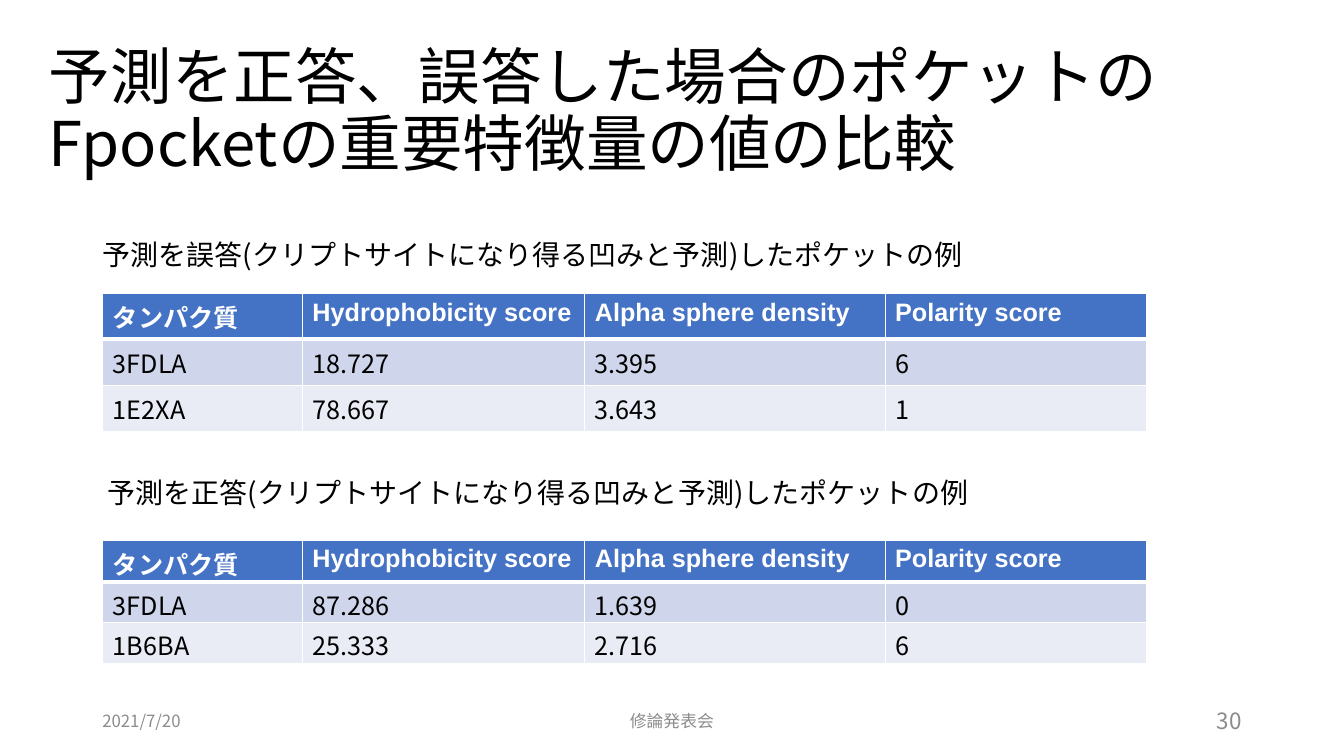
from lxml.etree import SubElement as Sub
from pptx import Presentation
from pptx.dml.color import RGBColor as Rgb
from pptx.enum.text import MSO_ANCHOR as Anchor, MSO_AUTO_SIZE as Auto, PP_ALIGN as Align
from pptx.oxml import parse_xml
from pptx.oxml.ns import nsdecls, qn
from pptx.util import Pt

PX = 9525  # EMU per px, 96 px to the inch
THEME = {
    "font": "Noto Sans CJK JP", "latin": "Arial",
    "ink": "000000", "gray": "8C8C8C", "white": "FFFFFF",
    "fills": ["4472C4", "CFD5EA", "E9EBF5"],
    "title": 44, "label": 20, "cell": 18, "page": 16, "foot": 12,
}


def write(frame, text, size, color, face="font", bold=False, align=Align.LEFT):
    """Fill a text frame with one formatted paragraph."""
    para = frame.paragraphs[0]
    para.alignment = align
    run = para.add_run()
    run.text = text
    look = {"name": THEME[face], "size": Pt(THEME[size]), "bold": bold}
    for key, value in look.items():
        setattr(run.font, key, value)
    run.font.color.rgb = Rgb.from_string(THEME[color])
    Sub(run.font._element, qn("a:ea"), typeface=THEME[face])


def edge(cell, sides):
    """Draw white cell borders, given as {side: width in points}."""
    props = cell._tc.get_or_add_tcPr()
    for spot, (side, width) in enumerate(sides.items()):
        props.insert(spot, parse_xml(
            f'<a:ln{side} {nsdecls("a")} w="{Pt(width)}"><a:solidFill>'
            f'<a:srgbClr val="{THEME["white"]}"/></a:solidFill></a:ln{side}>'))


deck = Presentation()
deck.slide_width, deck.slide_height = 1280 * PX, 720 * PX
slide = deck.slides.add_slide(deck.slide_layouts[5])

# Title
title = slide.shapes.title
place = {"left": 37, "top": 38, "width": 1170, "height": 139}
for key, value in place.items():
    setattr(title, key, value * PX)
frame = title.text_frame
form = {"word_wrap": True, "auto_size": Auto.NONE, "vertical_anchor": Anchor.MIDDLE}
for key, value in form.items():
    setattr(frame, key, value)
write(frame, "予測を正答、誤答した場合のポケットのFpocketの重要特徴量の値の比較", "title", "ink")
frame.paragraphs[0].line_spacing = 0.9

# Captions and footer
notes = [
    ((88, 221, 893, 42), "予測を誤答(クリプトサイトになり得る凹みと予測)したポケットの例",
     "label", "ink", Align.LEFT, Anchor.TOP),
    ((93, 448, 893, 42), "予測を正答(クリプトサイトになり得る凹みと予測)したポケットの例",
     "label", "ink", Align.LEFT, Anchor.TOP),
    ((88, 667, 288, 38), "2021/7/20", "foot", "gray", Align.LEFT, Anchor.MIDDLE),
    ((424, 667, 432, 38), "修論発表会", "foot", "gray", Align.CENTER, Anchor.MIDDLE),
    ((904, 667, 288, 38), "30", "page", "gray", Align.RIGHT, Anchor.MIDDLE),
]
for box, text, size, color, align, anchor in notes:
    frame = slide.shapes.add_textbox(*(n * PX for n in box)).text_frame
    frame.word_wrap = True
    frame.vertical_anchor = anchor
    write(frame, text, size, color, align=align)

# Tables: top, row height, top and bottom cell margins, body rows
HEAD = ["タンパク質", "Hydrophobicity score", "Alpha sphere density", "Polarity score"]
WIDTHS = [190, 269, 286, 249]
tables = [
    (279, 44, 5, 5, [["3FDLA", "18.727", "3.395", "6"], ["1E2XA", "78.667", "3.643", "1"]]),
    (515, 39, 4, 0, [["3FDLA", "87.286", "1.639", "0"], ["1B6BA", "25.333", "2.716", "6"]]),
]
for top, high, above, below, body in tables:
    rows = [HEAD] + body
    grid = slide.shapes.add_table(len(rows), len(HEAD), 98 * PX, top * PX,
                                  sum(WIDTHS) * PX, high * len(rows) * PX).table
    grid.horz_banding = False
    for col, width in zip(grid.columns, WIDTHS):
        col.width = width * PX
    for r, row in enumerate(rows):
        for c, text in enumerate(row):
            cell = grid.cell(r, c)
            cell.margin_top, cell.margin_bottom = above * PX, below * PX
            cell.fill.solid()
            cell.fill.fore_color.rgb = Rgb.from_string(THEME["fills"][r])
            edge(cell, {"L": 1, "R": 1, "T": 3 if r == 1 else 1, "B": 3 if r == 0 else 1})
            write(cell.text_frame, text, "cell", "ink" if r else "white",
                  "latin" if r == 0 and c else "font", r == 0)

deck.save("out.pptx")
